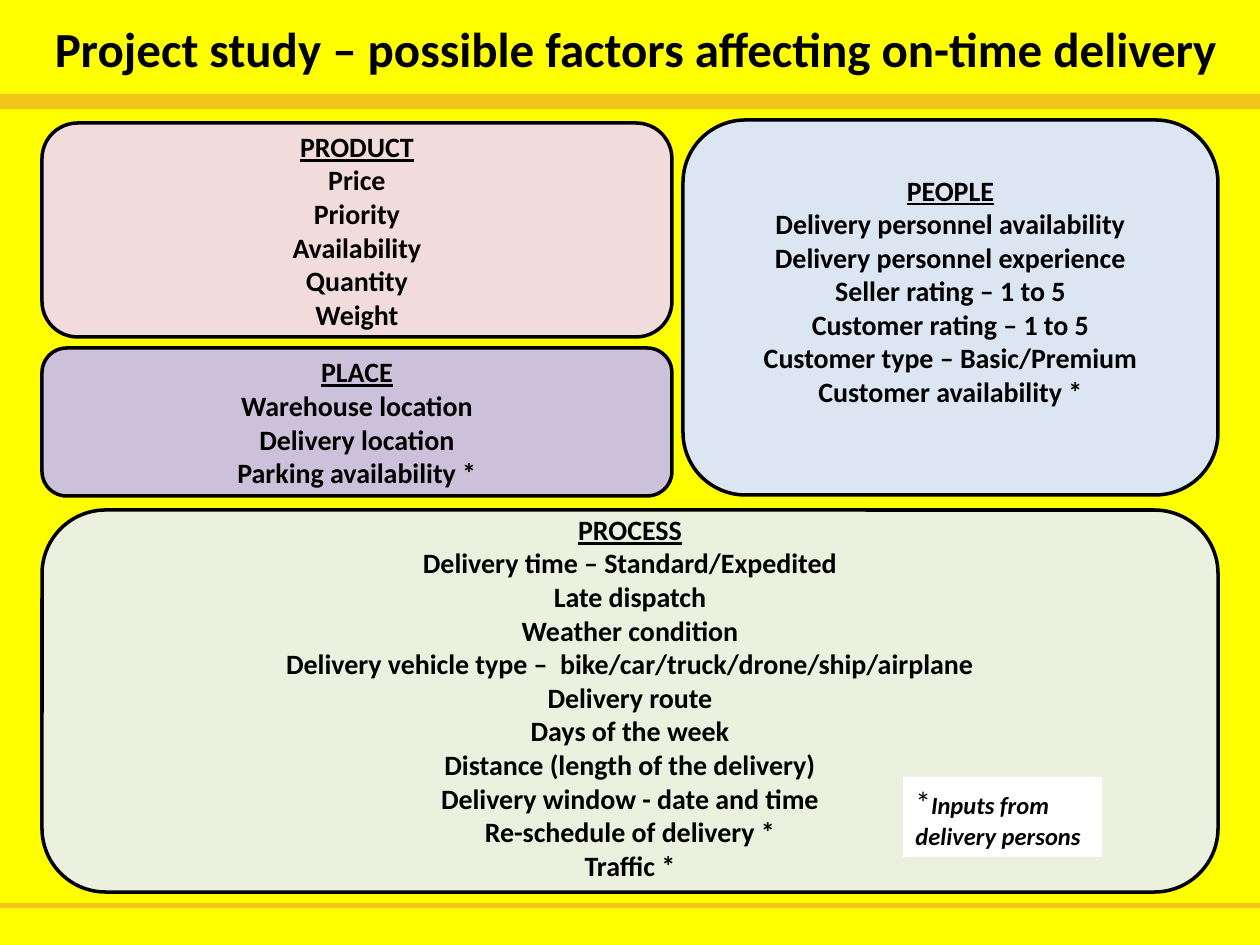
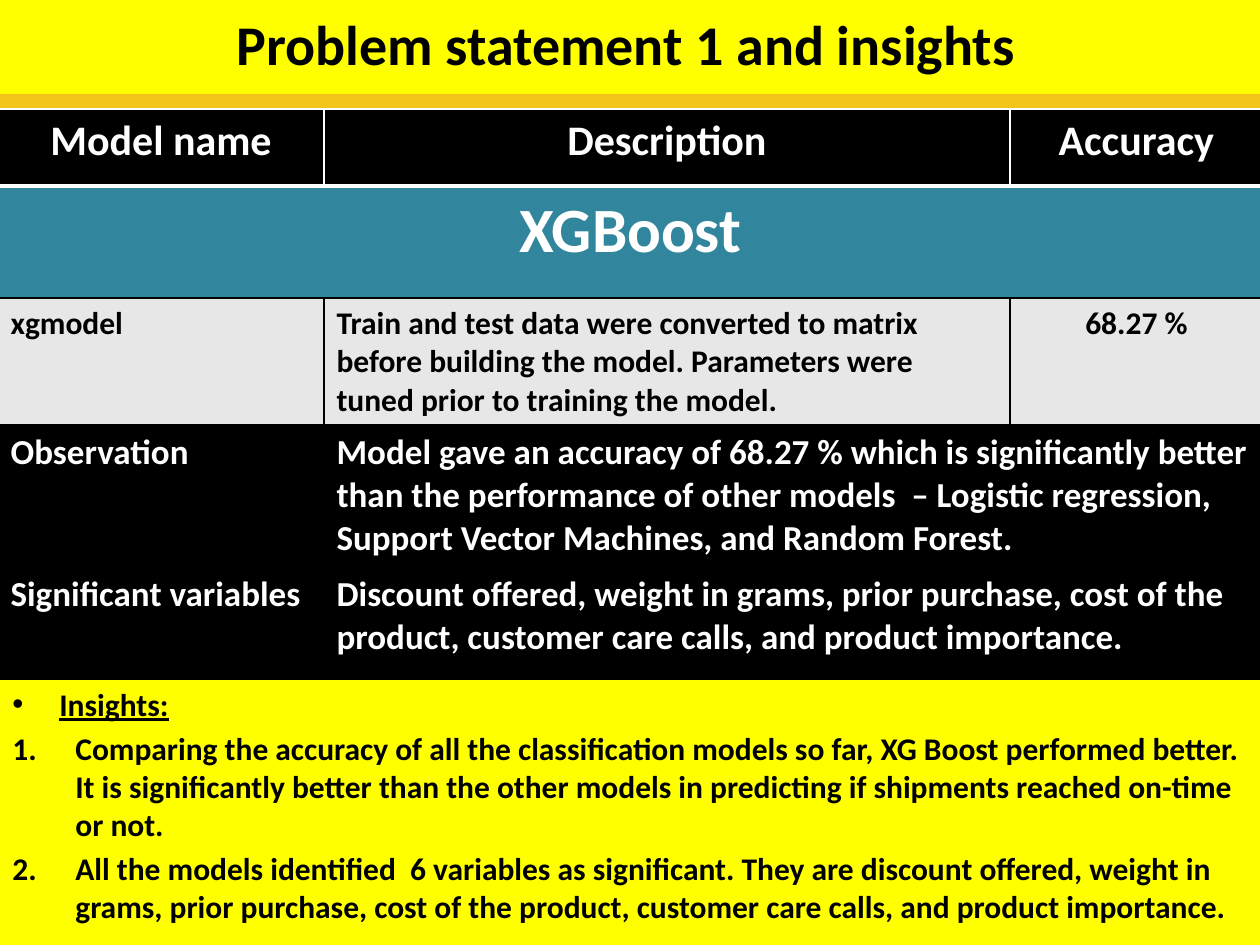
from lxml import etree
from pptx import Presentation
from pptx.dml.color import RGBColor
from pptx.enum.shapes import MSO_SHAPE as SHAPE
from pptx.enum.text import MSO_ANCHOR as ANCHOR, PP_ALIGN as ALIGN
from pptx.oxml.ns import qn
from pptx.util import Emu, Pt

BLACK = RGBColor(0x00, 0x00, 0x00)
WHITE = RGBColor(0xFF, 0xFF, 0xFF)
YELLOW = RGBColor(0xFF, 0xFF, 0x00)
GOLD = RGBColor(0xF3, 0xC4, 0x19)
PINK = RGBColor(0xF2, 0xDC, 0xDB)
BLUE = RGBColor(0xDC, 0xE6, 0xF2)
GREEN = RGBColor(0xEB, 0xF1, 0xDE)
PURPLE = RGBColor(0xCC, 0xC1, 0xDA)
TEAL = RGBColor(0x31, 0x85, 0x9C)
GREY = RGBColor(0xE7, 0xE7, 0xE7)

FONT = "Calibri"
WIDTH, HEIGHT = 1260, 945
INSET = 6
TOP_BAND = (0, 94, WIDTH, 15)
BOTTOM_BAND = (0, 903, WIDTH, 5)

# heading, box, fill, extra bottom inset, factors
FACTORS = [
    ("PRODUCT", (42, 123, 630, 214), PINK, 0,
     ["Price", "Priority", "Availability", "Quantity", "Weight"]),
    ("PEOPLE", (683, 120, 535, 375), BLUE, 34,
     ["Delivery personnel availability", "Delivery personnel experience",
      "Seller rating – 1 to 5", "Customer rating – 1 to 5",
      "Customer type – Basic/Premium", "Customer availability *"]),
    ("PROCESS", (42, 510, 1176, 382), GREEN, 8,
     ["Delivery time – Standard/Expedited", "Late dispatch", "Weather condition",
      "Delivery vehicle type –  bike/car/truck/drone/ship/airplane",
      "Delivery route", "Days of the week", "Distance (length of the delivery)",
      "Delivery window - date and time", "Re-schedule of delivery *", "Traffic *"]),
    ("PLACE", (42, 348, 630, 148), PURPLE, 0,
     ["Warehouse location", "Delivery location", "Parking availability *"]),
]
FOOTNOTE_BOX = (903, 777, 199, 80)

TABLE_LEFT, TABLE_TOP = -2, 109
COLUMNS = [326, 686, 253]
# height, fill, font colour, size, (side, top, bottom) borders, texts
ROWS = [
    (77, BLACK, WHITE, 24, ((WHITE, 1), (WHITE, 1), (WHITE, 3)),
     ["Model name", "Description", "Accuracy"]),
    (112, TEAL, WHITE, 36, ((WHITE, 1), (WHITE, 3), (BLACK, 1)), ["XGBoost"]),
    (127, GREY, BLACK, 18, ((BLACK, 1),) * 3,
     ["xgmodel",
      "Train and test data were converted to matrix before building the model. "
      "Parameters were tuned prior to training the model.",
      "68.27 %"]),
    (142, BLACK, WHITE, 20, ((BLACK, 1),) * 3,
     ["Observation",
      "Model gave an accuracy of 68.27 % which is significantly better than the "
      "performance of other models  – Logistic regression, Support Vector Machines, "
      "and Random Forest."]),
    (112, BLACK, WHITE, 20, ((BLACK, 1),) * 3,
     ["Significant variables",
      "Discount offered, weight in grams, prior purchase, cost of the product, "
      "customer care calls, and product importance."]),
]
CENTERED = {(0, 0), (0, 1), (0, 2), (1, 0), (2, 2)}
TABLE_HEIGHT = sum(row[0] for row in ROWS)
TABLE_BOX = (TABLE_LEFT, TABLE_TOP, sum(COLUMNS), TABLE_HEIGHT)

INSIGHTS_TOP = TABLE_TOP + TABLE_HEIGHT
INSIGHTS_BOX = (0, INSIGHTS_TOP, WIDTH, HEIGHT - INSIGHTS_TOP)
INSIGHTS = [
    "Comparing the accuracy of all the classification models so far, XG Boost performed "
    "better. It is significantly better than the other models in predicting if shipments "
    "reached on-time or not.",
    "All the models identified  6 variables as significant. They are discount offered, "
    "weight in grams, prior purchase, cost of the product, customer care calls, and "
    "product importance.",
]


def px(n):
    return Emu(round(n * 914400 / 126))


def place(box):
    return [px(n) for n in box]


def add_run(p, text, size, color=BLACK, **style):
    r = p.add_run()
    r.text = text
    r.font.color.rgb = color
    for name, value in {"name": FONT, "size": Pt(size), "bold": True, **style}.items():
        setattr(r.font, name, value)


def next_paragraph(tf, index):
    return tf.paragraphs[0] if index == 0 else tf.add_paragraph()


def add_box(s, kind, box, fill, line=None):
    sp = s.shapes.add_shape(kind, *place(box))
    sp.shadow.inherit = False
    sp.fill.solid()
    sp.fill.fore_color.rgb = fill
    if line is None:
        sp.line.fill.background()
    else:
        sp.line.color.rgb = line
        sp.line.width = Pt(2)
    return sp


def add_slide(prs, title, title_box, size):
    s = prs.slides.add_slide(prs.slide_layouts[6])
    s.background.fill.solid()
    s.background.fill.fore_color.rgb = YELLOW
    add_box(s, SHAPE.RECTANGLE, TOP_BAND, GOLD)
    tf = s.shapes.add_textbox(*place(title_box)).text_frame
    tf.word_wrap = True
    tf.vertical_anchor = ANCHOR.MIDDLE
    tf.paragraphs[0].alignment = ALIGN.CENTER
    add_run(tf.paragraphs[0], title, size)
    return s


def add_factor_box(s, heading, box, fill, extra_bottom, factors):
    tf = add_box(s, SHAPE.ROUNDED_RECTANGLE, box, fill, BLACK).text_frame
    tf.word_wrap = True
    tf.vertical_anchor = ANCHOR.MIDDLE
    tf.margin_bottom = px(INSET + extra_bottom)
    for i, text in enumerate([heading, *factors]):
        p = next_paragraph(tf, i)
        p.alignment = ALIGN.CENTER
        add_run(p, text, 16, underline=i == 0)


def add_footnote(s):
    tf = add_box(s, SHAPE.RECTANGLE, FOOTNOTE_BOX, WHITE).text_frame
    tf.word_wrap = True
    tf.vertical_anchor = ANCHOR.TOP
    p = tf.paragraphs[0]
    p.alignment = ALIGN.LEFT
    add_run(p, "*", 18, bold=False)
    add_run(p, "Inputs from delivery persons", 14, italic=True)


def set_borders(cell, side, top, bottom):
    tcPr = cell._tc.get_or_add_tcPr()
    for tag, (color, width) in zip(("lnL", "lnR", "lnT", "lnB"), (side, side, top, bottom)):
        ln = etree.SubElement(tcPr, qn(f"a:{tag}"), w=str(Pt(width)))
        fill = etree.SubElement(ln, qn("a:solidFill"))
        etree.SubElement(fill, qn("a:srgbClr"), val=str(color))


def add_model_table(s):
    table = s.shapes.add_table(len(ROWS), len(COLUMNS), *place(TABLE_BOX)).table
    table.horz_banding = False
    for column, width in zip(table.columns, COLUMNS):
        column.width = px(width)
    last = len(COLUMNS) - 1
    for i, (height, fill, color, size, borders, texts) in enumerate(ROWS):
        table.rows[i].height = px(height)
        for cell in table.rows[i].cells:
            set_borders(cell, *borders)
            cell.fill.solid()
            cell.fill.fore_color.rgb = fill
        if len(texts) <= last:
            table.cell(i, len(texts) - 1).merge(table.cell(i, last))
        for j, text in enumerate(texts):
            p = table.cell(i, j).text_frame.paragraphs[0]
            p.alignment = ALIGN.CENTER if (i, j) in CENTERED else ALIGN.LEFT
            add_run(p, text, size, color)


def set_bullet(p, indent, tag, **attributes):
    pPr = p._p.get_or_add_pPr()
    pPr.set("marL", str(px(indent)))
    pPr.set("indent", str(-px(indent)))
    etree.SubElement(pPr, qn("a:buFont"), typeface="Arial" if tag == "buChar" else "+mj-lt")
    etree.SubElement(pPr, qn(f"a:{tag}"), **attributes)


def add_insights(s):
    tf = s.shapes.add_textbox(*place(INSIGHTS_BOX)).text_frame
    tf.word_wrap = True
    tf.margin_top = px(INSET)
    for i, text in enumerate(["Insights:", *INSIGHTS]):
        p = next_paragraph(tf, i)
        p.space_before = Pt(3.6)
        if i == 0:
            set_bullet(p, 47, "buChar", char="•")
        else:
            set_bullet(p, 63, "buAutoNum", type="arabicPeriod")
        add_run(p, text, 18, underline=i == 0)


def main():
    prs = Presentation()
    prs.slide_width, prs.slide_height = px(WIDTH), px(HEIGHT)

    s = add_slide(prs, "Project study – possible factors affecting on-time delivery",
                  (11, 1, 1249, 94), 28)
    add_box(s, SHAPE.RECTANGLE, BOTTOM_BAND, GOLD)
    for factor in FACTORS:
        add_factor_box(s, *factor)
    add_footnote(s)

    s = add_slide(prs, "Problem statement 1 and insights", (59, 1, 1134, 84), 32)
    add_model_table(s)
    add_insights(s)

    prs.save("out.pptx")


if __name__ == "__main__":
    main()
